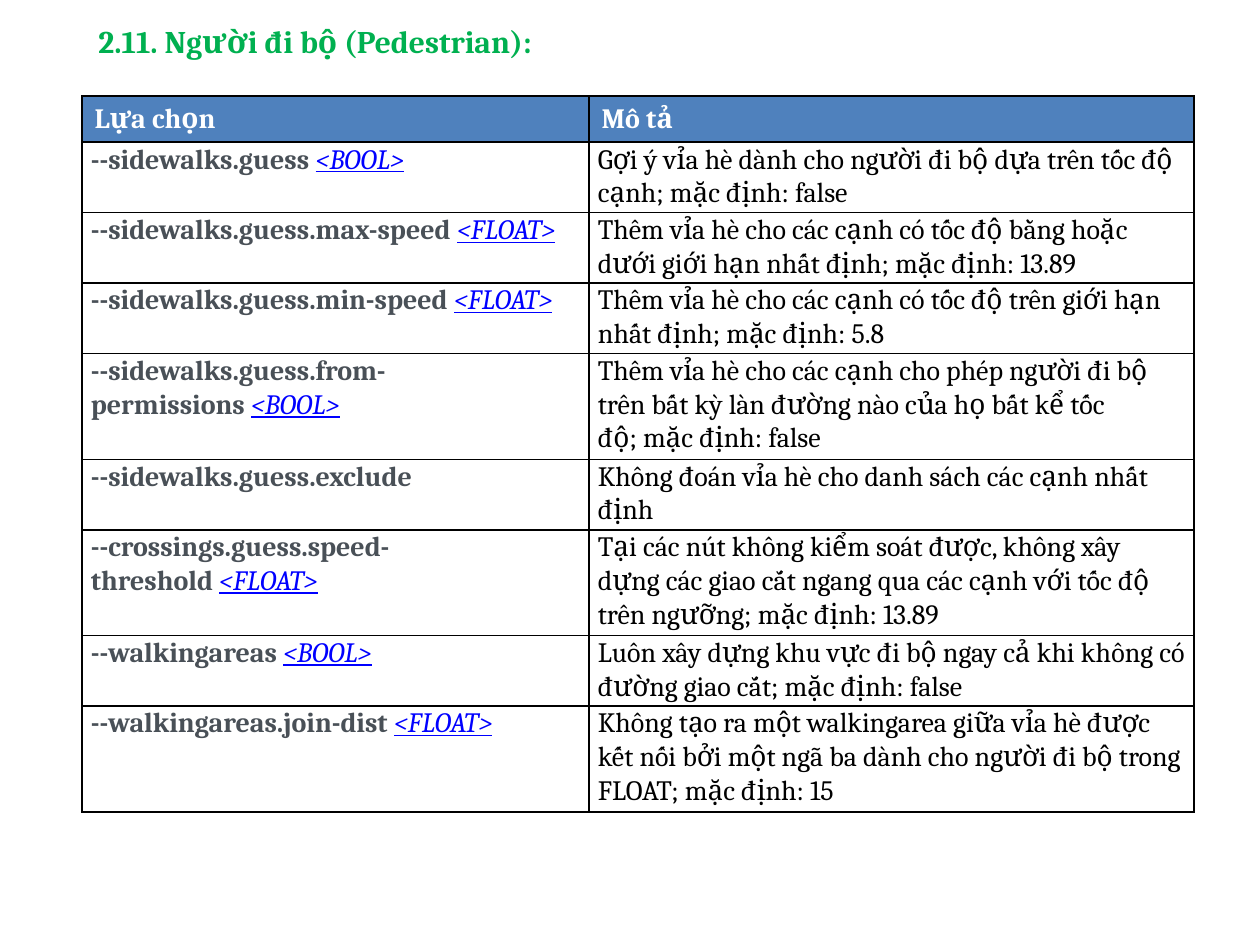
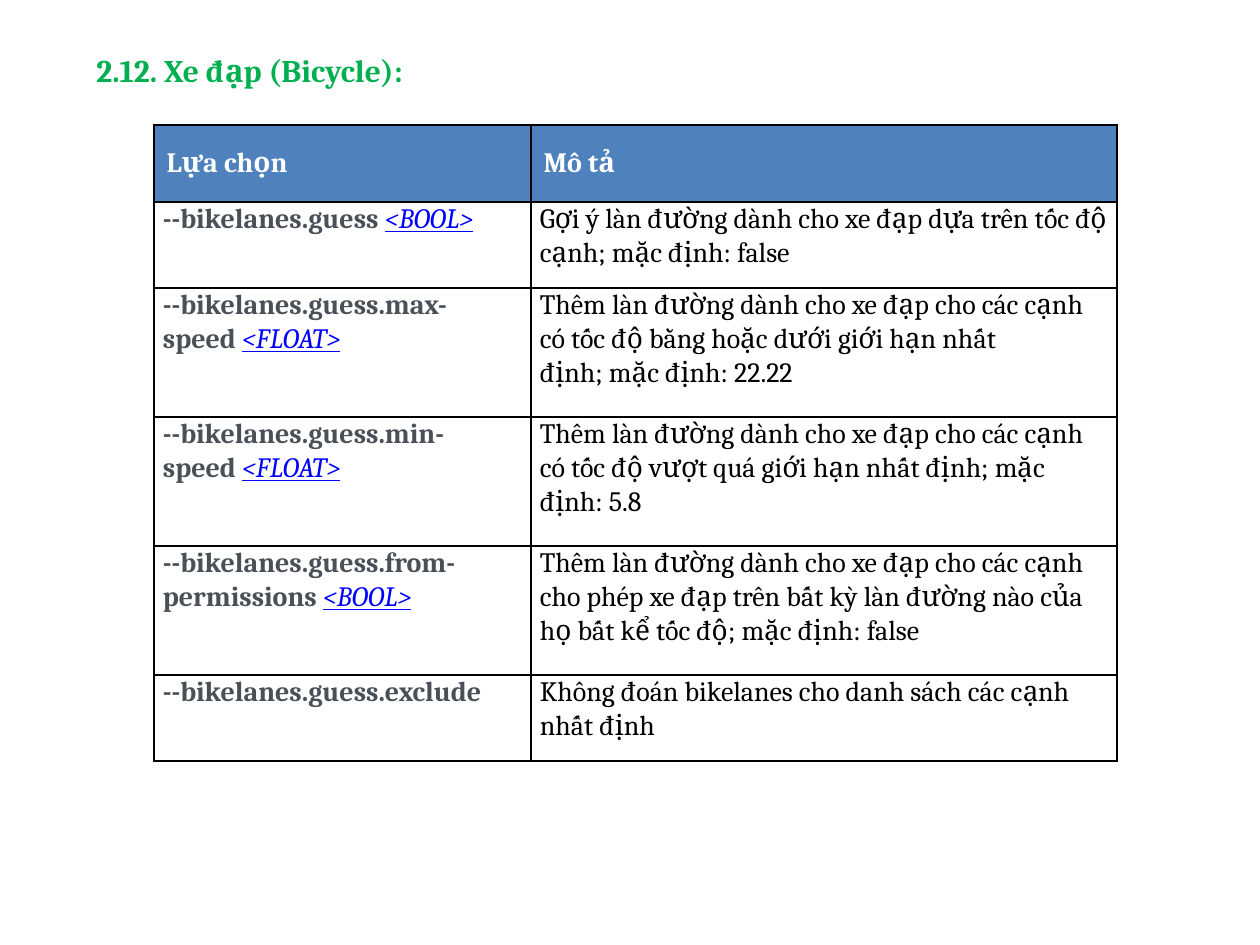
from lxml import etree
from pptx import Presentation
from pptx import util as u
from pptx.dml.color import RGBColor
from pptx.enum import text
from pptx.oxml import ns

GREEN = RGBColor(0x00, 0xB0, 0x50)
BLUE = RGBColor(0x4F, 0x81, 0xBD)
GREY = RGBColor(0x49, 0x50, 0x57)
LINK_BLUE = RGBColor(0x00, 0x00, 0xFF)
WHITE = RGBColor(0xFF, 0xFF, 0xFF)
BLACK = RGBColor(0x00, 0x00, 0x00)
FONT = "Cambria"
NBSP = chr(160)
PX = 914400 / 126


def px(count):
    return u.Emu(round(count * PX))


def write(paragraph, words, color, size=16, bold=False, italic=False, underline=False):
    run = paragraph.add_run()
    run.text = words
    run.font.name = FONT
    run.font.size = u.Pt(size)
    run.font.color.rgb = color
    run.font.bold = bold
    run.font.italic = italic
    run.font.underline = underline


HEADINGS = ["Lựa chọn", "Mô tả"]

PEDESTRIAN = [
    ("--sidewalks.guess", "<BOOL>", "Gợi ý vỉa hè dành cho người đi bộ dựa trên tốc độ cạnh", "false"),
    ("--sidewalks.guess.max-speed", "<FLOAT>",
     "Thêm vỉa hè cho các cạnh có tốc độ bằng hoặc dưới giới hạn nhất định", "13.89"),
    ("--sidewalks.guess.min-speed", "<FLOAT>",
     "Thêm vỉa hè cho các cạnh có tốc độ trên giới hạn nhất định", "5.8"),
    ("--sidewalks.guess.from-permissions", "<BOOL>",
     "Thêm vỉa hè cho các cạnh cho phép người đi bộ trên bất kỳ làn đường nào của họ bất kể tốc độ", "false"),
    ("--sidewalks.guess.exclude", "", "Không đoán vỉa hè cho danh sách các cạnh nhất định", ""),
    ("--crossings.guess.speed-threshold", "<FLOAT>",
     "Tại các nút không kiểm soát được, không xây dựng các giao cắt ngang qua các cạnh "
     "với tốc độ trên ngưỡng", "13.89"),
    ("--walkingareas", "<BOOL>",
     "Luôn xây dựng khu vực đi bộ ngay cả khi không có đường giao cắt", "false"),
    ("--walkingareas.join-dist", "<FLOAT>",
     "Không tạo ra một walkingarea giữa vỉa hè được kết nối bởi một ngã ba "
     "dành cho người đi bộ trong FLOAT", "15"),
]

BICYCLE = [
    ("--bikelanes.guess", "<BOOL>", "Gợi ý làn đường dành cho xe đạp dựa trên tốc độ cạnh", "false"),
    ("--bikelanes.guess.max-speed", "<FLOAT>",
     "Thêm làn đường dành cho xe đạp cho các cạnh có tốc độ bằng hoặc dưới giới hạn nhất định", "22.22"),
    ("--bikelanes.guess.min-speed", "<FLOAT>",
     "Thêm làn đường dành cho xe đạp cho các cạnh có tốc độ vượt quá giới hạn nhất định", "5.8"),
    ("--bikelanes.guess.from-permissions", "<BOOL>",
     "Thêm làn đường dành cho xe đạp cho các cạnh cho phép xe đạp trên bất kỳ làn đường nào "
     "của họ bất kể tốc độ", "false"),
    ("--bikelanes.guess.exclude", "", "Không đoán bikelanes cho danh sách các cạnh nhất định", ""),
]

SECTIONS = [
    ("2.11. Người đi bộ (Pedestrian):", (86, 16, 475, 50), PEDESTRIAN,
     (82, 96, 1112, 697), (507, 605), [25] + [59] * 8),
    ("2.12. Xe đạp (Bicycle):", (84, 45, 347, 50), BICYCLE,
     (154, 125, 963, 635), (377, 586), [77, 86, 129, 129, 129, 86]),
]

deck = Presentation()
deck.slide_width, deck.slide_height = px(1260), px(945)

for title, title_box, options, table_box, widths, heights in SECTIONS:
    slide = deck.slides.add_slide(deck.slide_layouts[6])
    heading = slide.shapes.add_textbox(*map(px, title_box)).text_frame
    heading.word_wrap = False
    heading.auto_size = text.MSO_AUTO_SIZE.SHAPE_TO_FIT_TEXT
    write(heading.paragraphs[0], title, GREEN, size=18, bold=True)

    frame = slide.shapes.add_table(len(heights), len(widths), *map(px, table_box))
    options_table = frame.table
    options_table.horz_banding = False
    for column, width in zip(options_table.columns, widths):
        column.width = px(width)
    for row, height in zip(options_table.rows, heights):
        row.height = px(height)
    frame.height = px(table_box[3])

    for cell, words in zip(options_table.rows[0].cells, HEADINGS):
        cell.vertical_anchor = text.MSO_ANCHOR.MIDDLE
        write(cell.text_frame.paragraphs[0], words, WHITE, bold=True)

    for row_number, (option, kind, description, default) in enumerate(options, 1):
        name_cell, description_cell = options_table.rows[row_number].cells
        for cell in (name_cell, description_cell):
            cell.margin_left = cell.margin_right = px(9)
            cell.margin_top = cell.margin_bottom = 0
            cell.text_frame.paragraphs[0].line_spacing = 1.05
        name_line = name_cell.text_frame.paragraphs[0]
        write(name_line, option + NBSP if kind else option, GREY, bold=True)
        if kind:
            write(name_line, kind, LINK_BLUE, italic=True, underline=True)
        if default:
            description += f";{NBSP}mặc định:{NBSP}{default}"
        write(description_cell.text_frame.paragraphs[0], description, BLACK)

    for row_number, row in enumerate(options_table.rows):
        for cell in row.cells:
            cell.fill.solid()
            cell.fill.fore_color.rgb = WHITE if row_number else BLUE
            properties = cell._tc.get_or_add_tcPr()
            for position, side in enumerate(("lnL", "lnR", "lnT", "lnB")):
                border = etree.Element(ns.qn(f"a:{side}"), w=str(u.Pt(1)))
                border_fill = etree.SubElement(border, ns.qn("a:solidFill"))
                etree.SubElement(border_fill, ns.qn("a:srgbClr"), val=str(BLACK))
                properties.insert(position, border)

deck.save("out.pptx")
